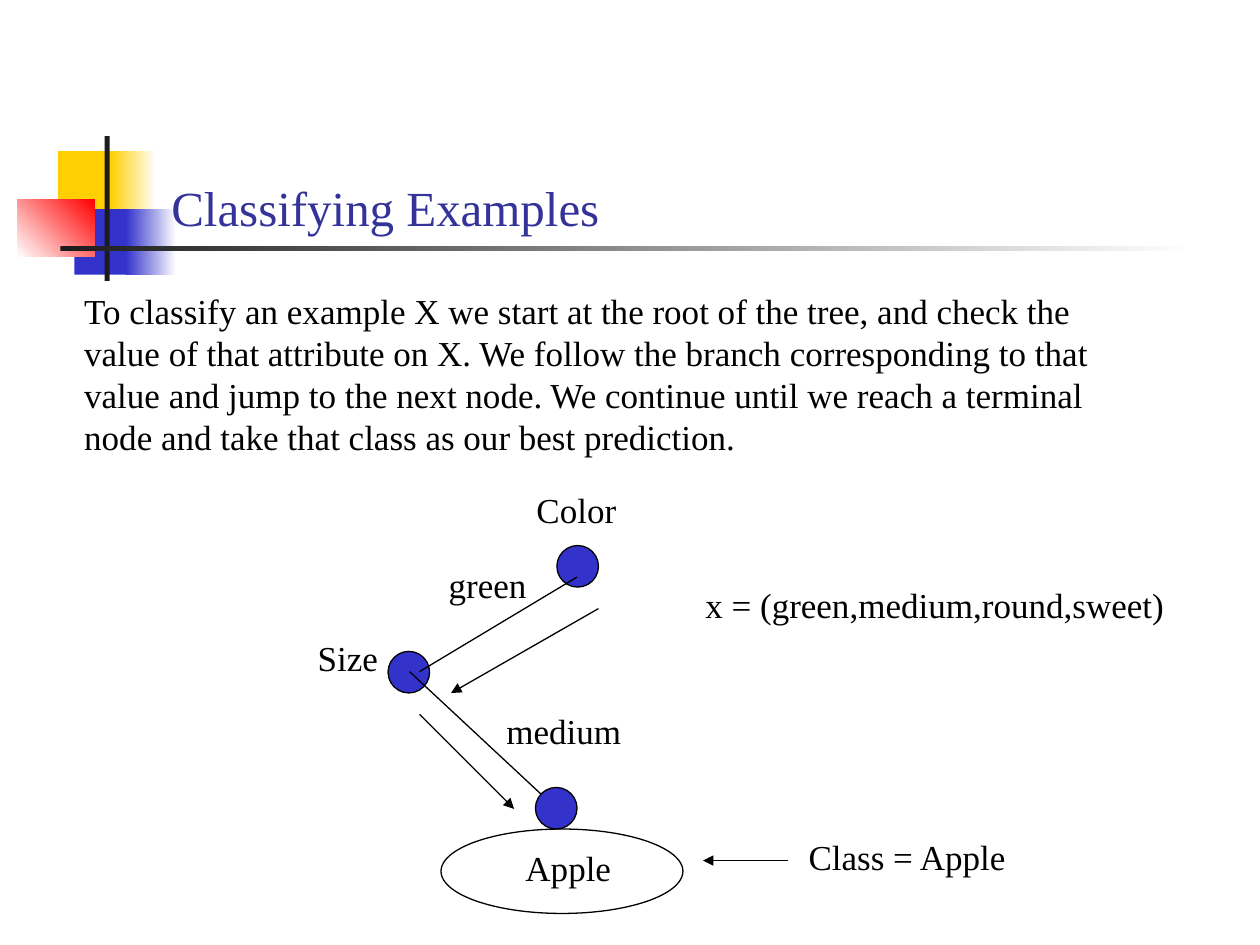
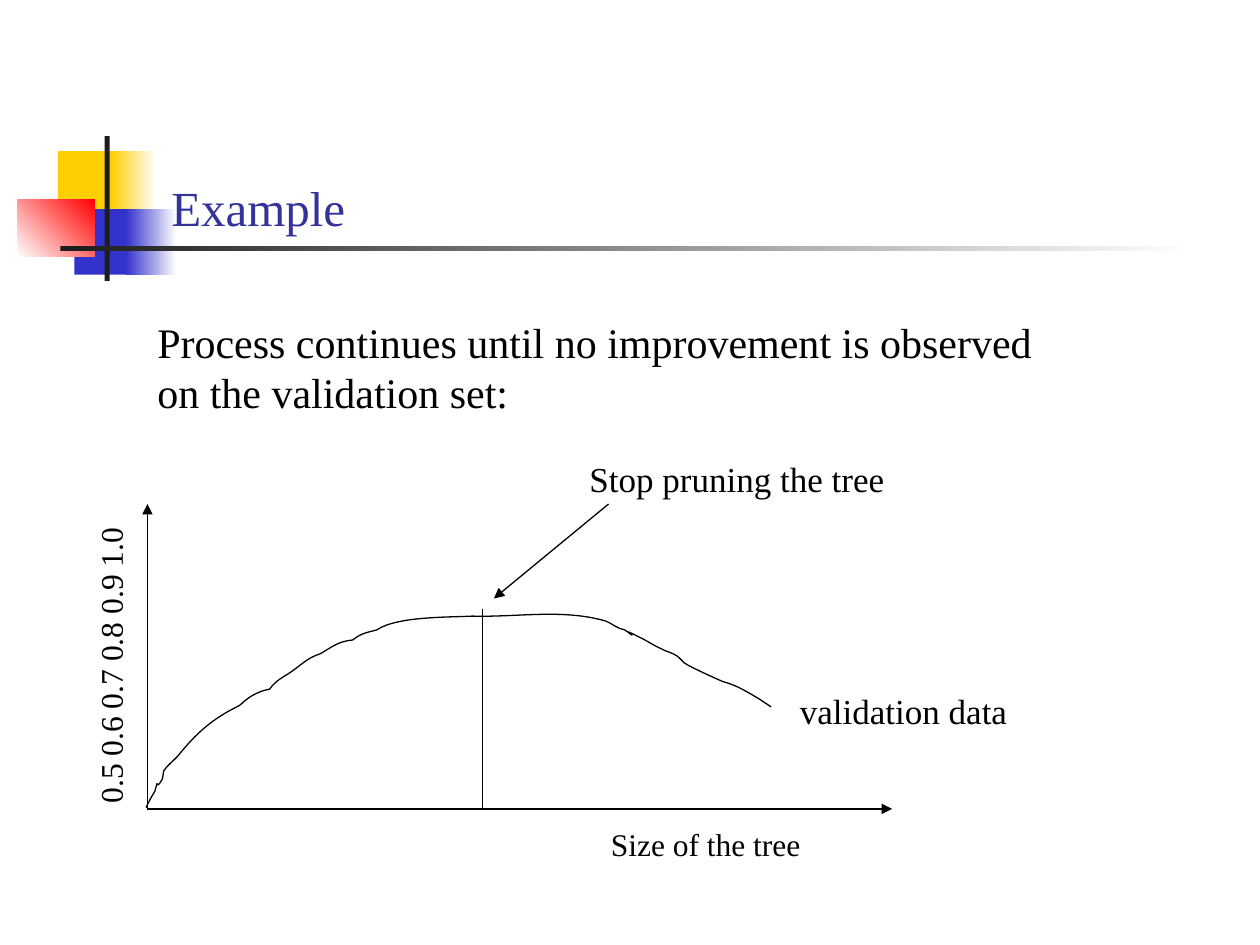
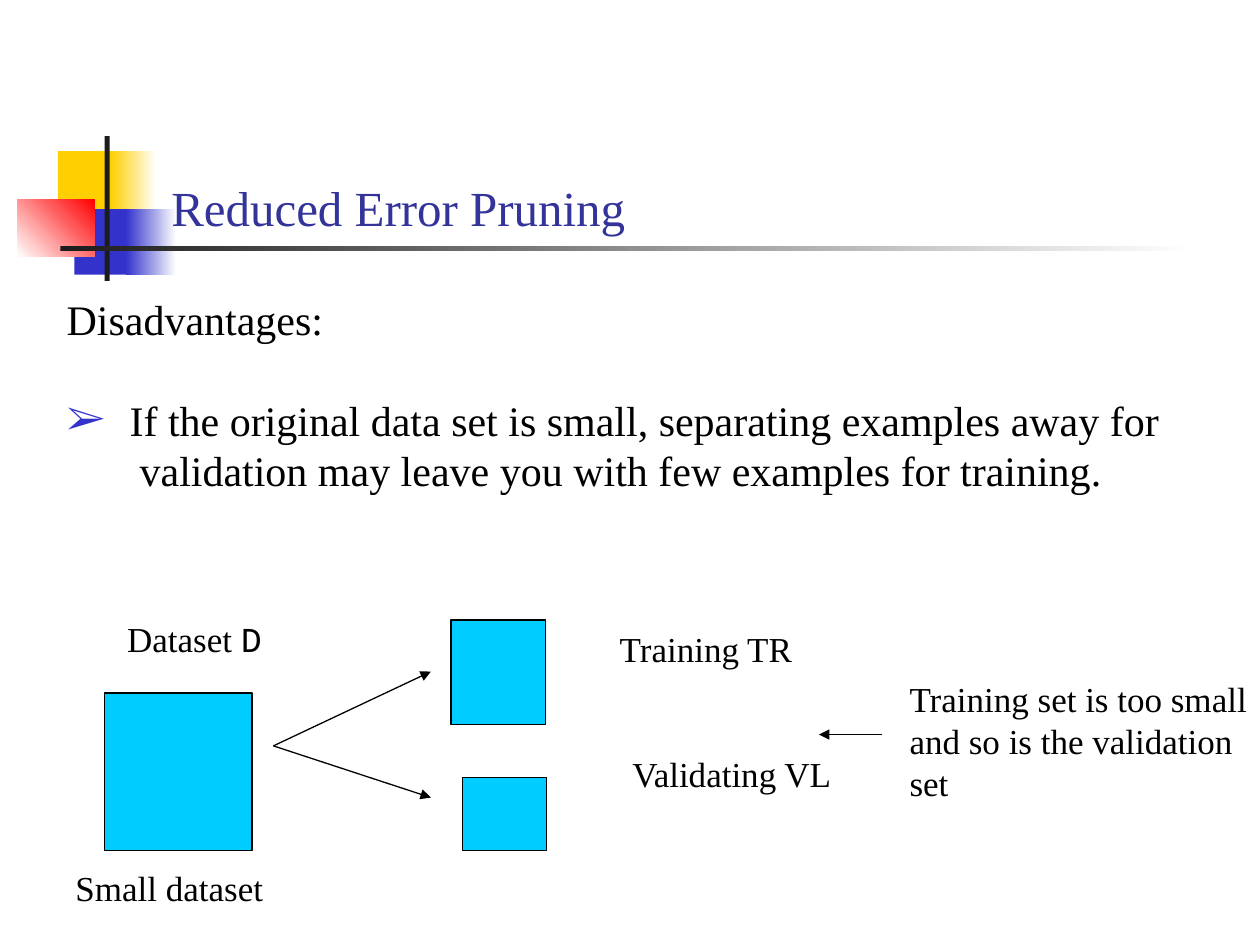
from lxml import etree
from pptx import Presentation
from pptx.dml.color import RGBColor
from pptx.enum.shapes import MSO_CONNECTOR, MSO_SHAPE
from pptx.enum.text import MSO_ANCHOR, MSO_AUTO_SIZE, PP_ALIGN
from pptx.oxml.ns import qn
from pptx.util import Inches, Pt

RECT, OVAL = MSO_SHAPE.RECTANGLE, MSO_SHAPE.OVAL
STRAIGHT = MSO_CONNECTOR.STRAIGHT
LEFT, CENTER = PP_ALIGN.LEFT, PP_ALIGN.CENTER
BOTTOM = MSO_ANCHOR.BOTTOM
NO_FIT, GROW = MSO_AUTO_SIZE.NONE, MSO_AUTO_SIZE.SHAPE_TO_FIT_TEXT

COLORS = {
    "title": "333399", "text": "000000", "line": "000000", "white": "FFFFFF",
    "yellow": "FFCF01", "blue": "3333CC", "red": "FF0000", "bar": "1C1C1C",
    "data": "00CCFF",
}
SERIF, MONO = "Times New Roman", "Courier New"
LINE_WIDTH = 0.75
TITLE_BOX = (1.26, 0.68, 8.52, 1.25)

# Shared decoration: box, colours (two make a gradient), gradient angle
DECORATION = [
    ((0.46, 1.2, 0.48, 0.52), ["yellow"], 0),
    ((0.88, 1.2, 0.36, 0.52), ["yellow", "white"], 0),
    ((0.59, 1.66, 0.46, 0.52), ["blue"], 0),
    ((1, 1.66, 0.4, 0.52), ["blue", "white"], 0),
    ((0.14, 1.58, 0.61, 0.46), ["white", "red"], 45),
    ((0.83, 1.08, 0.04, 1.15), ["bar"], 0),
    ((0.48, 1.95, 9, 0.04), ["bar", "white"], 0),
]

# Validation curve in plot inches: start, then two controls and an end each
CURVE_START = (-0.01, 2.41)
CURVE = [
    (0.01, 2.36, 0.06, 2.28, 0.06, 2.28), (0.1, 2.13, 0.05, 2.31, 0.12, 2.18),
    (0.13, 2.16, 0.12, 2.14, 0.13, 2.12), (0.16, 2.07, 0.22, 2.03, 0.25, 1.99),
    (0.39, 1.82, 0.51, 1.71, 0.71, 1.61), (0.74, 1.6, 0.76, 1.57, 0.79, 1.55),
    (0.84, 1.51, 0.91, 1.48, 0.97, 1.47), (1.02, 1.4, 1.07, 1.38, 1.13, 1.34),
    (1.22, 1.28, 1.27, 1.22, 1.37, 1.19), (1.46, 1.14, 1.51, 1.09, 1.63, 1.08),
    (1.69, 1.03, 1.74, 1.02, 1.82, 1), (1.98, 0.89, 2.4, 0.9, 2.58, 0.89),
    (2.94, 0.9, 3.3, 0.83, 3.64, 0.93), (3.69, 0.95, 3.73, 0.99, 3.79, 1),
    (3.95, 1.11, 3.7, 0.95, 3.89, 1.05), (3.96, 1.08, 4.01, 1.12, 4.08, 1.15),
    (4.11, 1.17, 4.17, 1.18, 4.21, 1.21), (4.23, 1.22, 4.24, 1.25, 4.26, 1.26),
    (4.3, 1.29, 4.52, 1.39, 4.57, 1.41), (4.68, 1.44, 4.76, 1.49, 4.86, 1.55),
    (4.89, 1.57, 4.95, 1.61, 4.95, 1.61),
]


def rgb(name):
    return RGBColor.from_string(COLORS[name])


def set_all(target, values):
    for name, value in values.items():
        setattr(target, name, value)


def style_font(font, size, color="text", name=SERIF):
    set_all(font, {"size": Pt(size), "name": name})
    font.color.rgb = rgb(color)


def outline(line):
    line.color.rgb = rgb("line")
    line.width = Pt(LINE_WIDTH)


class Region:
    """A part of a slide; everything is placed from its top left corner."""

    def __init__(self, slide, left, top):
        self.shapes, self.left, self.top = slide.shapes, left, top

    def point(self, x, y):
        return Inches(self.left + x), Inches(self.top + y)

    def shape(self, kind, box, fill=None, outlined=True):
        x, y, width, height = box
        shape = self.shapes.add_shape(kind, *self.point(x, y), Inches(width), Inches(height))
        shape.shadow.inherit = False
        if fill:
            shape.fill.solid()
            shape.fill.fore_color.rgb = rgb(fill)
        else:
            shape.fill.background()
        if outlined:
            outline(shape.line)
        else:
            shape.line.fill.background()
        return shape

    def line(self, start, end, arrow=False):
        connector = self.shapes.add_connector(STRAIGHT, *self.point(*start), *self.point(*end))
        outline(connector.line)
        properties = connector.element.spPr
        if arrow:
            etree.SubElement(properties.find(qn("a:ln")), qn("a:tailEnd"), type="triangle")
        etree.SubElement(properties, qn("a:effectLst"))

    def curve(self, start, segments):
        """Draw Bézier segments; each is two control points and an end."""
        points = [self.point(*segment[i:i + 2]) for segment in segments for i in (0, 2, 4)]
        builder = self.shapes.build_freeform(*self.point(*start))
        builder.add_line_segments(points, close=False)
        curve = builder.convert_to_shape()
        curve.shadow.inherit = False
        curve.fill.background()
        outline(curve.line)
        # Join every three straight steps into one curved step
        steps = list(curve.element.iter(qn("a:lnTo")))
        for first in range(0, len(steps), 3):
            bend = etree.Element(qn("a:cubicBezTo"))
            steps[first].addprevious(bend)
            for step in steps[first:first + 3]:
                bend.append(step[0])
                step.getparent().remove(step)

    def text(self, box, lines, size=20, align=LEFT):
        """Each line is a string or a list of (string, font name) runs."""
        x, y, width, height = box
        label = self.shapes.add_textbox(*self.point(x, y), Inches(width), Inches(height))
        frame = label.text_frame
        set_all(frame, {"word_wrap": False, "auto_size": GROW})
        for index, runs in enumerate(lines):
            paragraph = frame.add_paragraph() if index else frame.paragraphs[0]
            paragraph.alignment = align
            for words, font_name in [(runs, SERIF)] if isinstance(runs, str) else runs:
                run = paragraph.add_run()
                run.text = words
                style_font(run.font, size, name=font_name)
        return label

    def label(self, x, y, width, words, size=20, align=LEFT):
        return self.text((x, y, width, 0.44 if size == 20 else 0.4), [words], size, align)


def indent(paragraph, margin, first, bullet=None):
    properties = paragraph._p.get_or_add_pPr()
    properties.set("marL", str(Inches(margin)))
    properties.set("indent", str(Inches(first)))
    if bullet:
        color = etree.SubElement(properties, qn("a:buClr"))
        etree.SubElement(color, qn("a:srgbClr"), val=COLORS["blue"])
        etree.SubElement(properties, qn("a:buFont"), typeface=SERIF)
        etree.SubElement(properties, qn("a:buChar"), char=bullet)


def decorate(layout, slide):
    """Draw the crossed bars and squares, then move them to the layout."""
    for placeholder in list(layout.placeholders)[1:]:
        layout.shapes.element.remove(placeholder.element)
    page = Region(slide, 0, 0)
    for box, fills, angle in DECORATION:
        block = page.shape(RECT, box, fills[0], outlined=False)
        if len(fills) > 1:
            block.fill.gradient()
            block.fill.gradient_angle = angle
            for stop, name in zip(block.fill.gradient_stops, fills):
                stop.color.rgb = rgb(name)
        layout.shapes.element.append(block.element)


def titled_slide(prs, layout, words):
    slide = prs.slides.add_slide(layout)
    title = slide.shapes.title
    set_all(title, dict(zip(("left", "top", "width", "height"), map(Inches, TITLE_BOX))))
    title.text = words
    set_all(title.text_frame, {"vertical_anchor": BOTTOM, "auto_size": NO_FIT, "word_wrap": True})
    paragraph = title.text_frame.paragraphs[0]
    paragraph.alignment = LEFT
    style_font(paragraph.runs[0].font, 28, "title")
    return slide


def decision_tree(slide, left, top):
    tree = Region(slide, left, top)

    def node(x, y):
        tree.shape(OVAL, (x, y, 0.33, 0.33), "blue")

    # Nodes and branches
    node(2, 0.5)
    node(0.66, 1.34)
    tree.line((2.16, 0.75), (0.91, 1.5))
    tree.line((0.83, 1.5), (2, 2.59))
    node(1.83, 2.42)
    tree.shape(OVAL, (1.08, 2.75, 1.92, 0.67))
    # Path taken by the example
    for start, end in [((2.33, 1), (1.16, 1.67)), ((0.91, 1.84), (1.66, 2.59)),
                       ((3.83, 3), (3.16, 3))]:
        tree.line(start, end, arrow=True)
    # Attributes, values and class
    for x, y, width, words in [
        (1.72, 0, 0.87, "Color"), (0, 1.17, 0.68, "Size"), (1.65, 2.84, 0.88, "Apple"),
        (1.03, 0.59, 0.84, "green"), (1.5, 1.75, 1.11, "medium"),
        (3.89, 2.75, 1.78, "Class = Apple"),
    ]:
        tree.label(x, y, width, words, align=CENTER)
    tree.label(3.08, 0.75, 3.84, "x = (green,medium,round,sweet)")


def pruning_plot(slide, left, top):
    plot = Region(slide, left, top)
    origin = (0, 2.42)
    # Axes
    plot.line(origin, (5.91, 2.42), arrow=True)
    plot.line(origin, (0, 0), arrow=True)
    scale = plot.label(-1.49, 1.08, 2.39, "0.5 0.6 0.7 0.8 0.9 1.0", 18)
    scale.rotation = 270
    plot.label(3.58, 2.5, 1.74, "Size of the tree", 18)
    # Validation curve
    plot.curve(CURVE_START, CURVE)
    plot.label(5.08, 1.42, 1.88, "validation data")
    # Stopping point
    plot.line((2.66, 0.83), (2.66, 2.42))
    plot.label(3.41, -0.42, 2.54, "Stop pruning the tree")
    plot.line((3.66, 0), (2.75, 0.75), arrow=True)


def disadvantages(slide, left, top):
    body = Region(slide, left, top).text((0, 0, 9.42, 2.1), [
        "Disadvantages:",
        "If the original data set is small, separating examples away for",
        "validation may leave you with few examples for training.",
    ], 24)
    heading, point, continuation = body.text_frame.paragraphs
    indent(heading, 0.5, -0.5)
    point.space_before = Pt(29)
    indent(point, 0.5, -0.5, "➢")
    indent(continuation, 0.58, 0)


def dataset_split(slide, left, top):
    split = Region(slide, left, top)
    # Whole data set, training part, validating part
    for box in [(0.33, 0.67, 1.17, 1.25), (3.08, 0.09, 0.75, 0.83), (3.17, 1.34, 0.67, 0.58)]:
        split.shape(RECT, box, "data")
    for x, y, width, words in [
        (0.41, 0.02, 1.31, [("Dataset ", SERIF), ("D", MONO)]),
        (4.32, 0.1, 1.58, "Training TR"), (4.42, 1.09, 1.81, "Validating VL"),
        (0, 2, 1.69, "Small dataset"),
    ]:
        split.label(x, y, width, words)
    for part in [(2.92, 0.5), (2.92, 1.5)]:
        split.line((1.67, 1.09), part, arrow=True)
    # Remark
    split.text((6.62, 0.5, 2.89, 1.1),
               ["Training set is too small", "and so is the validation", "set"])
    split.line((6.5, 1), (6, 1), arrow=True)


def main():
    prs = Presentation()
    prs.slide_width, prs.slide_height = Inches(10), Inches(7.5)
    layout = prs.slide_layouts[5]

    classifying = titled_slide(prs, layout, "Classifying Examples")
    decorate(layout, classifying)
    Region(classifying, 0.57, 2.25).text((0, 0, 8.27, 1.44), [
        "To classify an example X we start at the root of the tree, and check the",
        "value of that attribute on X. We follow the branch corresponding to that",
        "value and jump to the next node. We continue until we reach a terminal",
        "node and take that class as our best prediction.",
    ])
    decision_tree(classifying, 2.42, 3.83)

    example = titled_slide(prs, layout, "Example")
    Region(example, 1.15, 2.46).text((0, 0, 7.14, 0.9), [
        "Process continues until no improvement is observed",
        "on the validation set:",
    ], 24)
    pruning_plot(example, 1.17, 4)

    pruning = titled_slide(prs, layout, "Reduced Error Pruning")
    disadvantages(pruning, 0.43, 2.28)
    dataset_split(pruning, 0.5, 4.83)

    prs.save("out.pptx")


if __name__ == "__main__":
    main()
